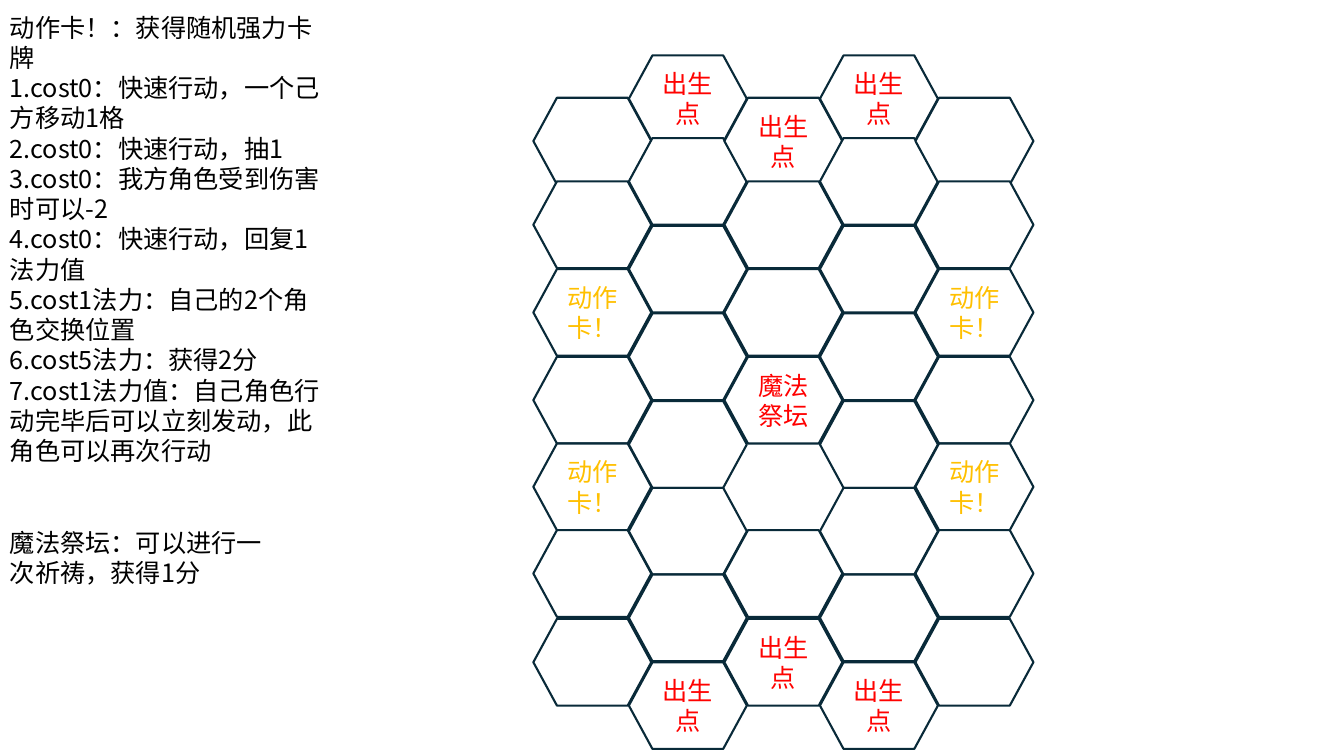
from lxml.etree import SubElement
from pptx import Presentation
from pptx.dml.color import RGBColor
from pptx.enum.shapes import MSO_SHAPE
from pptx.enum.text import MSO_ANCHOR, MSO_AUTO_SIZE, PP_ALIGN
from pptx.oxml.ns import qn
from pptx.util import Inches, Pt

FONT = "Noto Sans CJK SC"
BLACK = RGBColor(0x00, 0x00, 0x00)
WHITE = RGBColor(0xFF, 0xFF, 0xFF)
OUTLINE = RGBColor(0x09, 0x2A, 0x39)
RED = RGBColor(0xFF, 0x00, 0x00)
SPAWN_RED = RGBColor(0xFF, 0x02, 0x00)
GOLD = RGBColor(0xFF, 0xC0, 0x00)

CELL_WIDTH, CELL_HEIGHT = 1.17, 0.86
COLUMN_COUNT = 5
# Row tops within the board; odd columns hold one more cell than even ones.
EVEN_COLUMN_TOPS = (0.42, 1.25, 2.12, 2.99, 3.85, 4.71, 5.59)
ODD_COLUMN_TOPS = (0, 0.82, 1.69, 2.56, 3.43, 4.29, 5.15, 6.02)
OPEN_CELL = (2, 4)

SPAWN = ("出生点", SPAWN_RED)
ACTION = ("动作卡！", GOLD)
CELL_LABELS = {
    **dict.fromkeys([(1, 0), (3, 0), (2, 0), (2, 6), (1, 7), (3, 7)], SPAWN),
    **dict.fromkeys([(0, 2), (0, 4), (4, 2), (4, 4)], ACTION),
    (2, 3): ("魔法祭坛", RED),
}

CARD_RULES = [
    "动作卡！：获得随机强力卡牌",
    "1.cost0：快速行动，一个己方移动1格",
    "2.cost0：快速行动，抽1",
    "3.cost0：我方角色受到伤害时可以-2",
    "4.cost0：快速行动，回复1法力值",
    "5.cost1法力：自己的2个角色交换位置",
    "6.cost5法力：获得2分",
    "7.cost1法力值：自己角色行动完毕后可以立刻发动，此角色可以再次行动",
]
ALTAR_RULES = ["魔法祭坛：可以进行一次祈祷，获得1分"]


def set_attributes(target, values):
    for name, value in values.items():
        setattr(target, name, value)


def write_run(paragraph, text, color):
    run = paragraph.add_run()
    run.text = text
    set_attributes(run.font, {"name": FONT, "size": Pt(18)})
    run.font.color.rgb = color
    SubElement(run.font._element, qn("a:ea"), typeface=FONT)


def add_cell(slide, left, top, label):
    cell = slide.shapes.add_shape(
        MSO_SHAPE.FLOWCHART_PREPARATION,
        Inches(left), Inches(top), Inches(CELL_WIDTH), Inches(CELL_HEIGHT))
    cell.shadow.inherit = False
    cell.fill.solid()
    cell.fill.fore_color.rgb = WHITE
    cell.line.color.rgb = OUTLINE
    cell.line.width = Pt(1.5)
    if label:
        cell.text_frame.vertical_anchor = MSO_ANCHOR.MIDDLE
        paragraph = cell.text_frame.paragraphs[0]
        paragraph.alignment = PP_ALIGN.CENTER
        write_run(paragraph, *label)


def add_board(slide, left, top, width):
    """Lay out the hexagon columns, leaving the open cell undrawn."""
    column_step = (width - CELL_WIDTH) / (COLUMN_COUNT - 1)
    for column in range(COLUMN_COUNT):
        row_tops = ODD_COLUMN_TOPS if column % 2 else EVEN_COLUMN_TOPS
        for row, row_top in enumerate(row_tops):
            if (column, row) != OPEN_CELL:
                add_cell(slide, left + column * column_step, top + row_top,
                         CELL_LABELS.get((column, row)))


def add_rules(slide, left, top, width, height, rules):
    box = slide.shapes.add_textbox(
        Inches(left), Inches(top), Inches(width), Inches(height))
    frame = box.text_frame
    set_attributes(frame, {"word_wrap": True,
                           "auto_size": MSO_AUTO_SIZE.SHAPE_TO_FIT_TEXT})
    for index, rule in enumerate(rules):
        paragraph = frame.add_paragraph() if index else frame.paragraphs[0]
        write_run(paragraph, rule, BLACK)


def main():
    presentation = Presentation()
    set_attributes(presentation, {"slide_width": Inches(13.33),
                                  "slide_height": Inches(7.5)})
    slide = presentation.slides.add_slide(presentation.slide_layouts[6])
    add_board(slide, 5.29, 0.55, 4.96)
    add_rules(slide, 0, 0.07, 3.35, 4.3, CARD_RULES)
    add_rules(slide, 0, 5.18, 2.85, 0.7, ALTAR_RULES)
    presentation.save("out.pptx")


if __name__ == "__main__":
    main()
